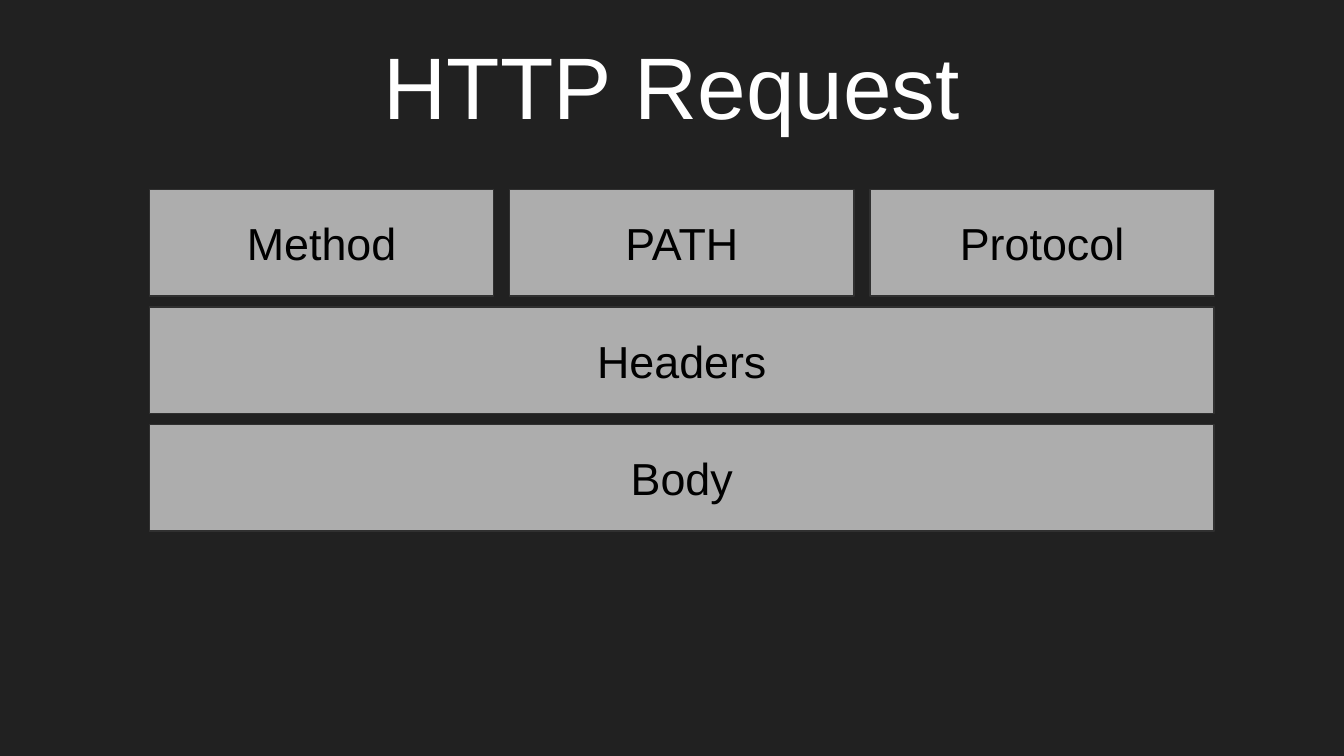
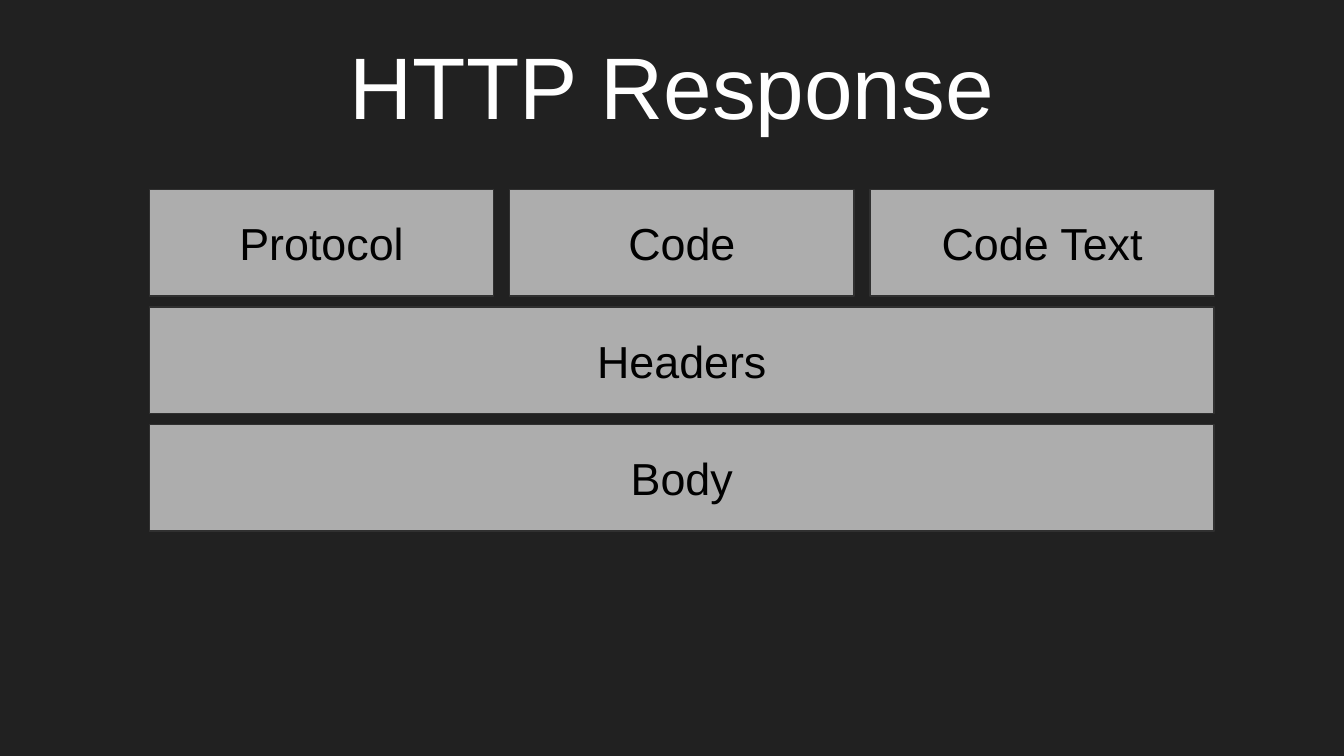
from pptx import Presentation
from pptx.dml.color import RGBColor
from pptx.enum.shapes import MSO_SHAPE
from pptx.enum.text import MSO_ANCHOR, PP_ALIGN
from pptx.util import Pt

RECT = MSO_SHAPE.RECTANGLE
CENTER = PP_ALIGN.CENTER
MIDDLE, BOTTOM = MSO_ANCHOR.MIDDLE, MSO_ANCHOR.BOTTOM

# Shared look
FONT = "Arial"
BACK, GREY, EDGE = "212121", "ADADAD", "303030"
BLACK, WHITE = "000000", "FFFFFF"

# Block grid
LEFT, TOP = 80, 101.5
CELL, HIGH = 184.5, 57
STEP_X, STEP_Y = 193, 63
FULL = 2 * STEP_X + CELL

# Title and first row of each message; the other rows are the same
PAGES = [
    ("HTTP Request", ["Method", "PATH", "Protocol"]),
    ("HTTP Response", ["Protocol", "Code", "Code Text"]),
]
ROWS = ["Headers", "Body"]


def color(hex_code):
    return RGBColor.from_string(hex_code)


def write(shape, text, size, ink, anchor):
    frame = shape.text_frame
    frame.word_wrap = True
    frame.vertical_anchor = anchor
    frame.margin_left = frame.margin_right = Pt(7.2)
    frame.margin_top = frame.margin_bottom = Pt(7.2)
    para = frame.paragraphs[0]
    para.alignment = CENTER
    run = para.add_run()
    run.text = text
    run.font.name = FONT
    run.font.size = Pt(size)
    run.font.color.rgb = color(ink)


deck = Presentation()
deck.slide_width, deck.slide_height = Pt(720), Pt(405)
blank = deck.slide_layouts[6]

for title, parts in PAGES:
    slide = deck.slides.add_slide(blank)
    fill = slide.background.fill
    fill.solid()
    fill.fore_color.rgb = color(BACK)

    # Title
    box = slide.shapes.add_textbox(Pt(24.5), Pt(35.2), Pt(671), Pt(45.5))
    write(box, title, 46.8, WHITE, BOTTOM)

    # Message blocks: three cells on top, full-width rows below
    blocks = [(part, i * STEP_X, 0, CELL) for i, part in enumerate(parts)]
    blocks += [(row, 0, i * STEP_Y, FULL) for i, row in enumerate(ROWS, 1)]
    for text, x, y, wide in blocks:
        block = slide.shapes.add_shape(
            RECT, Pt(LEFT + x), Pt(TOP + y), Pt(wide), Pt(HIGH))
        block.shadow.inherit = False
        block.fill.solid()
        block.fill.fore_color.rgb = color(GREY)
        block.line.color.rgb = color(EDGE)
        block.line.width = Pt(0.75)
        write(block, text, 24, BLACK, MIDDLE)

deck.save("out.pptx")
